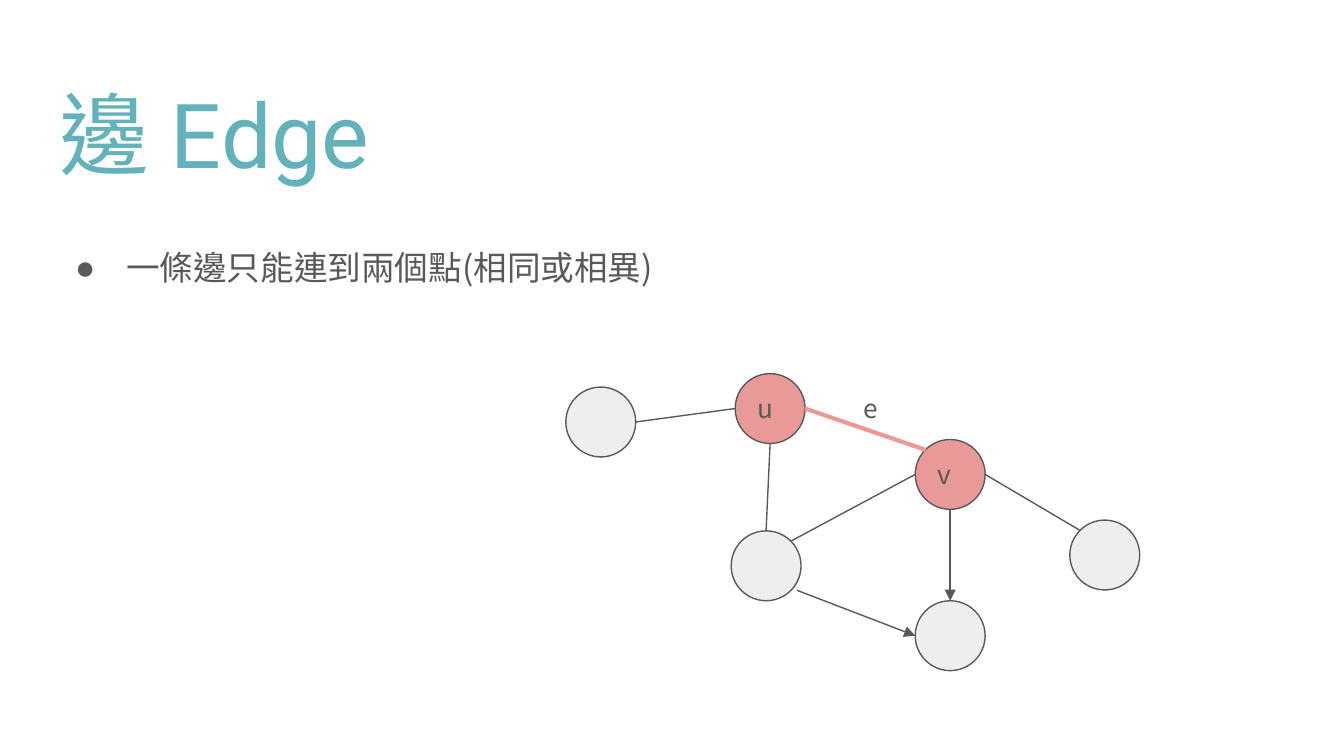
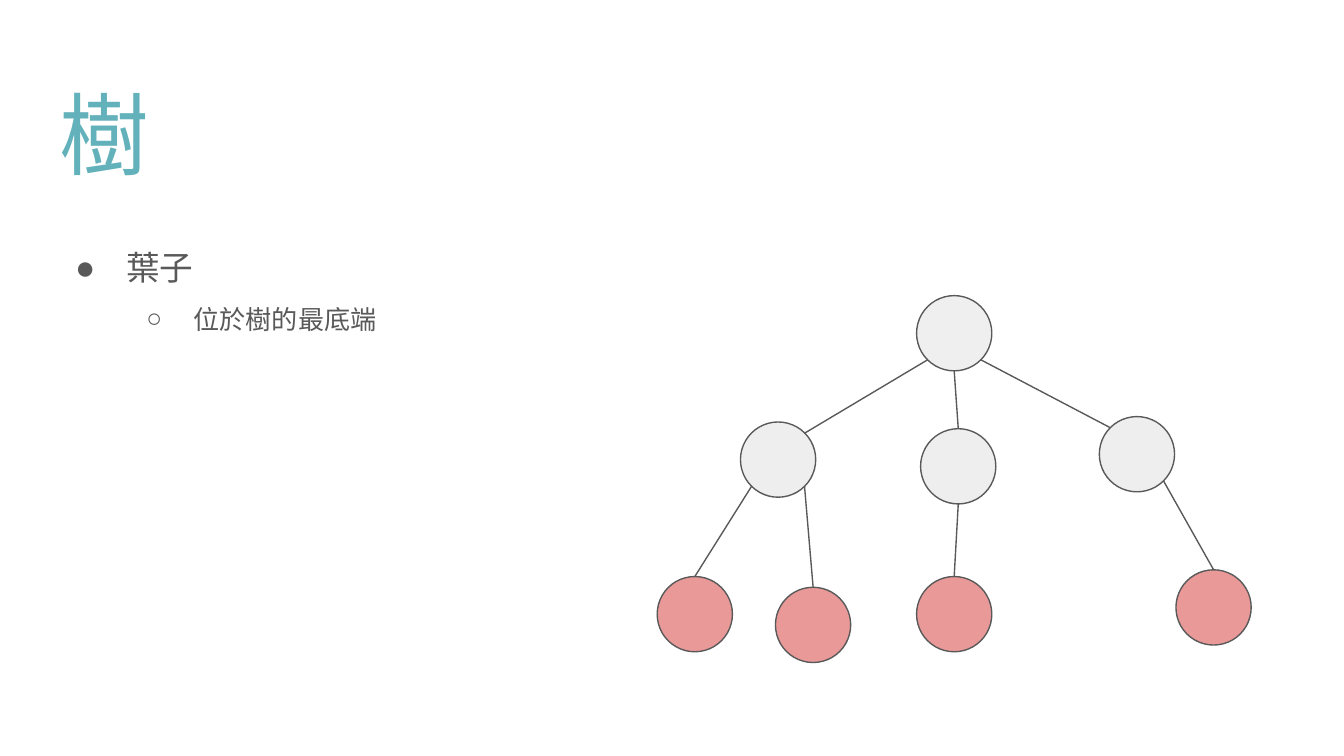
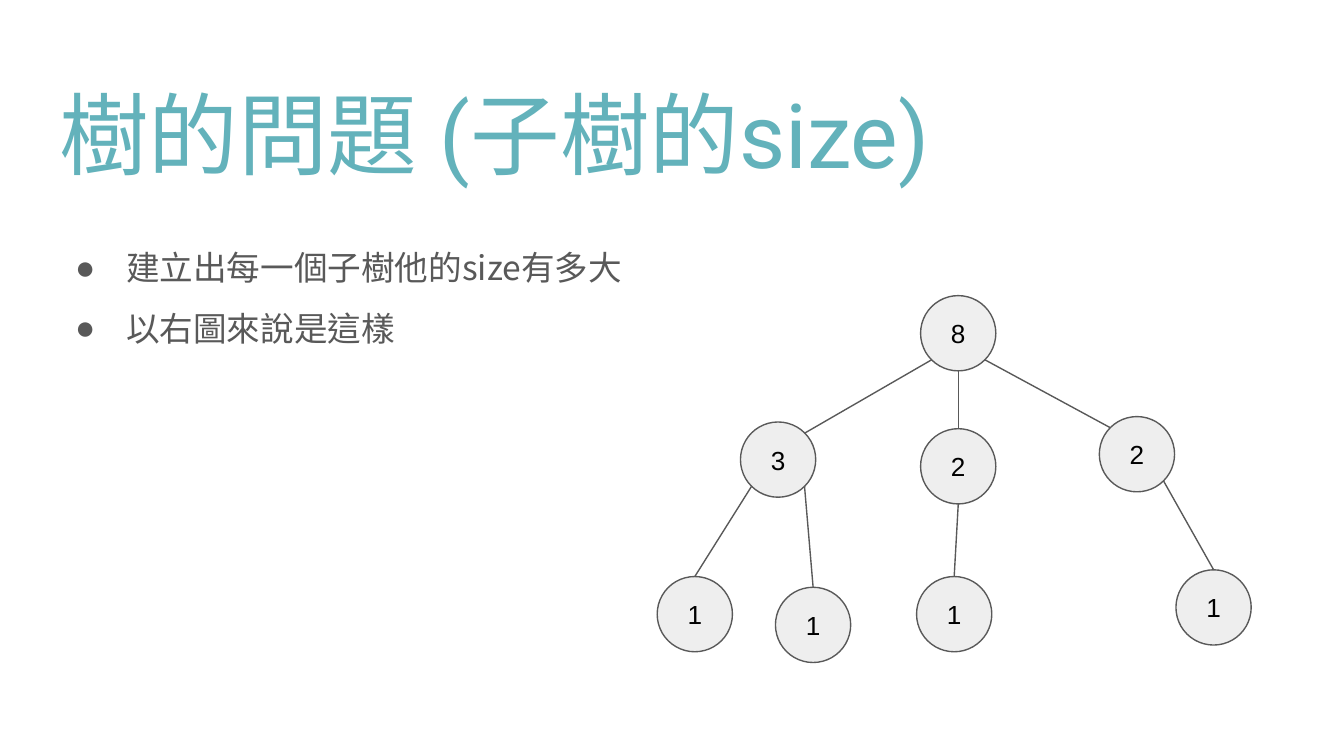
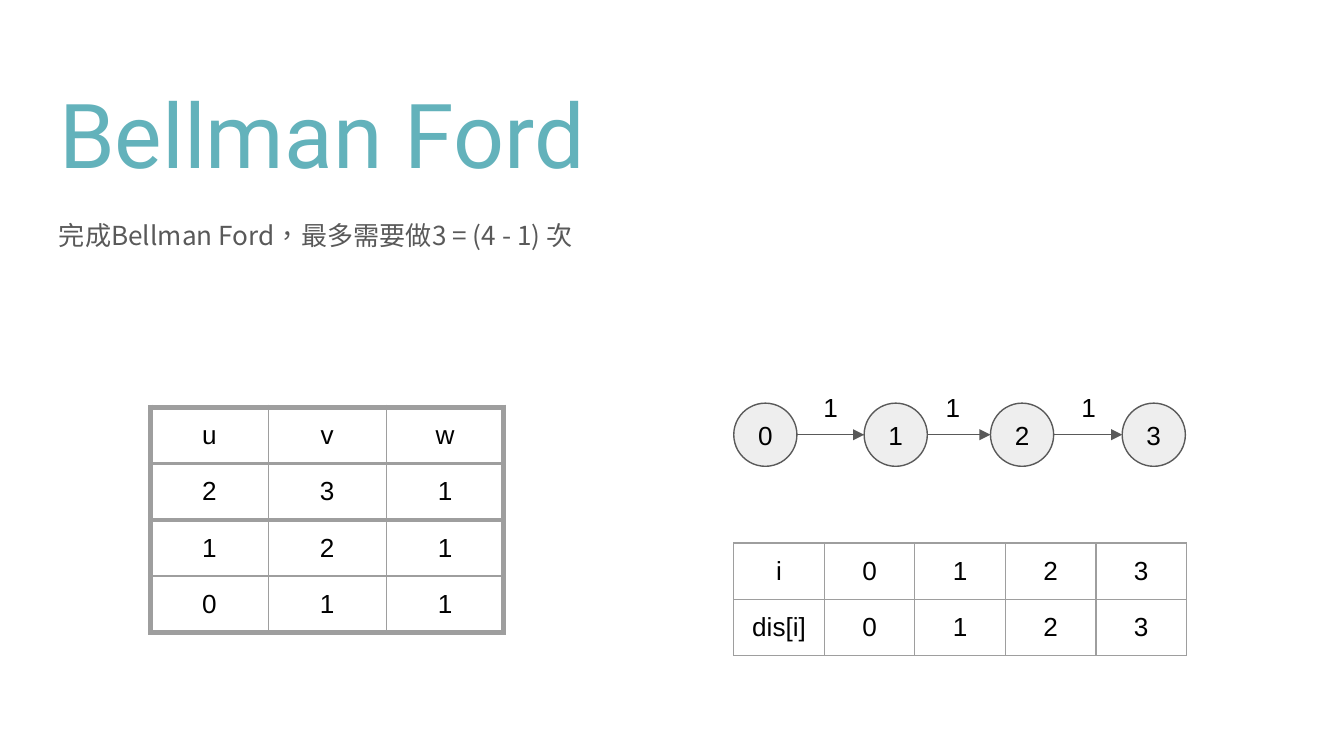
from lxml.etree import SubElement
from pptx import Presentation
from pptx.dml.color import RGBColor
from pptx.enum.shapes import MSO_CONNECTOR as Connector, MSO_SHAPE as Shape
from pptx.enum.text import MSO_ANCHOR as Anchor, MSO_AUTO_SIZE as AutoSize, PP_ALIGN as Align
from pptx.oxml.ns import qn
from pptx.util import Inches, Pt

TEAL = RGBColor(0x63, 0xB2, 0xBB)
GREY = RGBColor(0x59, 0x59, 0x59)
PALE = RGBColor(0xEE, 0xEE, 0xEE)
ROOT_PALE = RGBColor(0xEF, 0xEF, 0xEF)
PINK = RGBColor(0xEA, 0x99, 0x99)
BORDER = RGBColor(0x9E, 0x9E, 0x9E)
BLACK = RGBColor(0, 0, 0)

TITLE = {"name": "Roboto", "size": Pt(48), "color": TEAL}
BODY = {"name": "Noto Sans CJK TC", "size": Pt(18), "color": GREY}
NOTE = {**BODY, "size": Pt(14)}
VALUE = {"name": "Arial", "size": Pt(14), "color": BLACK}
LEVELS = [("●", 0.5, -0.38, BODY), ("○", 1, -0.35, NOTE)]

TITLE_BOX = (0.34, 0.49, 9.32, 0.99)
BODY_BOX = (0.34, 1.59, 9.32, 3.4)
SITES = {"N": (0.5, 0), "NW": (0.15, 0.15), "W": (0, 0.5), "SW": (0.15, 0.85),
         "S": (0.5, 1), "SE": (0.85, 0.85), "E": (1, 0.5), "NE": (0.85, 0.15),
         "beside SE": (0.94, 0.85)}

EDGE_NODES = {"a": (0, 0.1), "u": (1.26, 0), "b": (1.23, 1.17),
              "v": (2.6, 0.49), "c": (2.6, 1.69), "d": (3.75, 1.09)}
EDGE_LINES = [("a", "E", "u", "W"), ("u", "S", "b", "N"), ("b", "NE", "v", "W"),
              ("v", "E", "d", "NW")]
EDGE_ARROWS = [("v", "S", "c", "N"), ("b", "beside SE", "c", "W")]

TREE_NODES = {"left": (0.62, 0.94), "middle": (1.96, 0.99), "right": (3.29, 0.9),
              "leaf 1": (0, 2.09), "leaf 2": (0.88, 2.17), "leaf 3": (1.93, 2.09),
              "leaf 4": (3.86, 2.04)}
TREE_LINES = [("root", "SW", "left", "NE"), ("root", "S", "middle", "N"),
              ("root", "SE", "right", "NW"), ("left", "SW", "leaf 1", "N"),
              ("left", "SE", "leaf 2", "N"), ("middle", "S", "leaf 3", "N"),
              ("right", "SE", "leaf 4", "N")]


def inches(values):
    """Turn plain numbers into lengths."""
    return [Inches(value) for value in values]


def style_font(font, style):
    """Apply a style to a font."""
    for name, value in style.items():
        if name == "color":
            font.color.rgb = value
        else:
            setattr(font, name, value)


def write(para, text, style):
    """Add one styled span, with its language and East Asian typeface."""
    span = para.add_run()
    span.text = text
    style_font(span.font, style)
    props = span.font._element
    props.set("lang", "zh-TW")
    SubElement(props, qn("a:ea"), typeface=style["name"])


def set_frame(frame, anchor=Anchor.TOP):
    """Give a text frame the shared margins, wrapping and anchor."""
    settings = {"word_wrap": True, "auto_size": AutoSize.NONE, "vertical_anchor": anchor}
    settings.update({f"margin_{side}": Inches(0.1) for side in ("left", "top", "right", "bottom")})
    for name, value in settings.items():
        setattr(frame, name, value)


def add_text(page, box, text, style, anchor=Anchor.TOP, align=Align.LEFT):
    """Place a one-paragraph text box."""
    frame = page.shapes.add_textbox(*inches(box)).text_frame
    set_frame(frame, anchor)
    frame.paragraphs[0].alignment = align
    write(frame.paragraphs[0], text, style)


def add_page(deck, title):
    """Add a title-only slide and format its title."""
    page = deck.slides.add_slide(deck.slide_layouts[5])
    holder = page.shapes.title
    for name, value in zip(("left", "top", "width", "height"), inches(TITLE_BOX)):
        setattr(holder, name, value)
    set_frame(holder.text_frame)
    para = holder.text_frame.paragraphs[0]
    para.alignment = Align.LEFT
    write(para, title, TITLE)
    return page


def add_bullets(page, box, items):
    """Write bulleted paragraphs given as (level, text)."""
    frame = page.shapes.add_textbox(*inches(box)).text_frame
    set_frame(frame)
    for index, (level, text) in enumerate(items):
        para = frame.add_paragraph() if index else frame.paragraphs[0]
        mark, margin, indent, style = LEVELS[level]
        para.level = level
        para.line_spacing = 1.5
        props = para._p.get_or_add_pPr()
        props.set("marL", str(Inches(margin)))
        props.set("indent", str(Inches(indent)))
        color = SubElement(props, qn("a:buClr"))
        SubElement(color, qn("a:srgbClr"), val=str(GREY))
        SubElement(props, qn("a:buFont"), typeface="Arial")
        SubElement(props, qn("a:buChar"), char=mark)
        write(para, text, style)


def add_node(page, left, top, size, fill=PALE, text=""):
    """Draw a graph node with an optional value."""
    node = page.shapes.add_shape(Shape.OVAL, *inches((left, top, size, size)))
    node.shadow.inherit = False
    node.fill.solid()
    node.fill.fore_color.rgb = fill
    node.line.color.rgb = GREY
    node.line.width = Pt(0.75)
    if text:
        set_frame(node.text_frame, Anchor.MIDDLE)
        para = node.text_frame.paragraphs[0]
        para.alignment = Align.CENTER
        write(para, text, VALUE)
    return node


def site_point(node, site):
    """Return the point of a named site on a node."""
    across, down = SITES[site]
    return int(node.left + across * node.width), int(node.top + down * node.height)


def add_edge(page, nodes, edge, color=GREY, width=0.75, arrow=False):
    """Draw a line between named sites of two nodes."""
    start, start_site, end, end_site = edge
    line = page.shapes.add_connector(Connector.STRAIGHT, *site_point(nodes[start], start_site),
                                     *site_point(nodes[end], end_site))
    line.line.color.rgb = color
    line.line.width = Pt(width)
    if arrow:
        SubElement(line.line._get_or_add_ln(), qn("a:tailEnd"), type="triangle")
    SubElement(line._element.spPr, qn("a:effectLst"))


def add_edge_graph(page, left, top):
    """Draw the graph with edge e between u and v."""
    nodes = {name: add_node(page, left + x, top + y, 0.52, PINK if name in "uv" else PALE)
             for name, (x, y) in EDGE_NODES.items()}
    for edge in EDGE_LINES:
        add_edge(page, nodes, edge)
    add_edge(page, nodes, ("u", "E", "v", "NW"), PINK, 2.25)
    for edge in EDGE_ARROWS:
        add_edge(page, nodes, edge, arrow=True)
    for text, x, y, width, height in (("v", 2.67, 0.53, 0.38, 0.34), ("u", 1.33, 0.04, 0.38, 0.34),
                                      ("e", 2.12, 0.04, 0.63, 0.65)):
        add_text(page, (left + x, top + y, width, height), text, NOTE)


def add_tree(page, left, top, root_x, leaf_fill=PALE, values=None):
    """Draw the tree with an optional value in each node."""
    values = values or {}
    nodes = {}
    for name, (x, y) in {"root": (root_x, 0), **TREE_NODES}.items():
        fill = ROOT_PALE if name == "root" else leaf_fill if "leaf" in name else PALE
        nodes[name] = add_node(page, left + x, top + y, 0.56, fill, values.get(name, ""))
    for edge in TREE_LINES:
        add_edge(page, nodes, edge)


def add_chain(page, left, top):
    """Draw the weighted chain of four vertices."""
    nodes = [add_node(page, left + x, top, 0.47, text=str(index))
             for index, x in enumerate((0, 0.97, 1.91, 2.89))]
    for index, x in enumerate((0.29, 1.2, 2.21)):
        add_edge(page, nodes, (index, "E", index + 1, "W"), arrow=True)
        add_text(page, (left + x, top - 0.11, 0.86, 0.28), "1", VALUE, Anchor.MIDDLE, Align.CENTER)


def add_border(cell, side, width):
    """Draw one border of a table cell."""
    props = cell._tc.get_or_add_tcPr()
    line = SubElement(props, qn(f"a:ln{side}"), w=str(Pt(width)))
    SubElement(SubElement(line, qn("a:solidFill")), qn("a:srgbClr"), val=str(BORDER))


def add_grid(page, left, top, width, rows, column_lines, row_lines):
    """Draw a centred table with given widths for its rules."""
    box = (left, top, width, 0.41 * len(rows))
    table = page.shapes.add_table(len(rows), len(rows[0]), *inches(box)).table
    table.first_row = table.horz_banding = False
    for r, row in enumerate(rows):
        for c, text in enumerate(row):
            cell = table.cell(r, c)
            cell.vertical_anchor = Anchor.MIDDLE
            for side in ("left", "top", "right", "bottom"):
                setattr(cell, f"margin_{side}", Inches(0.1))
            for side, weight in (("L", column_lines[c]), ("R", column_lines[c + 1]),
                                 ("T", row_lines[r]), ("B", row_lines[r + 1])):
                add_border(cell, side, weight)
            cell.fill.background()
            para = cell.text_frame.paragraphs[0]
            para.alignment = Align.CENTER
            write(para, text, VALUE)


def build_edge_page(deck):
    """Build the slide on edges."""
    page = add_page(deck, "邊 Edge")
    add_bullets(page, BODY_BOX, [(0, "一條邊只能連到兩個點(相同或相異)")])
    add_edge_graph(page, 4.21, 2.78)


def build_leaf_page(deck):
    """Build the slide on leaves."""
    page = add_page(deck, "樹")
    add_bullets(page, BODY_BOX, [(0, "葉子"), (1, "位於樹的最底端")])
    add_tree(page, 4.89, 2.2, 1.93, PINK)


def build_size_page(deck):
    """Build the slide on subtree sizes."""
    page = add_page(deck, "樹的問題 (子樹的size)")
    add_bullets(page, BODY_BOX, [(0, "建立出每一個子樹他的size有多大"), (0, "以右圖來說是這樣")])
    sizes = dict(zip(["root", *TREE_NODES], "83221111"))
    add_tree(page, 4.89, 2.2, 1.96, values=sizes)


def build_bellman_page(deck):
    """Build the slide on shortest paths."""
    page = add_page(deck, "Bellman Ford")
    add_text(page, (0.34, 1.53, 8.4, 0.62), "完成Bellman Ford，最多需要做3 = (4 - 1) 次", NOTE)
    add_chain(page, 5.46, 3)
    add_grid(page, 5.46, 4.04, 3.37, [["i", *"0123"], ["dis[i]", *"0123"]],
             [0.75] * 6, [0.75] * 3)
    add_grid(page, 1.12, 3.03, 2.63, ["uvw", "231", "121", "011"],
             [3, 0.75, 0.75, 3], [3, 2.25, 2.25, 0.75, 3])


def main():
    """Build and save the deck."""
    deck = Presentation()
    deck.slide_width = Inches(10)
    deck.slide_height = deck.slide_width * 9 // 16
    for build in (build_edge_page, build_leaf_page, build_size_page, build_bellman_page):
        build(deck)
    deck.save("out.pptx")


if __name__ == "__main__":
    main()
